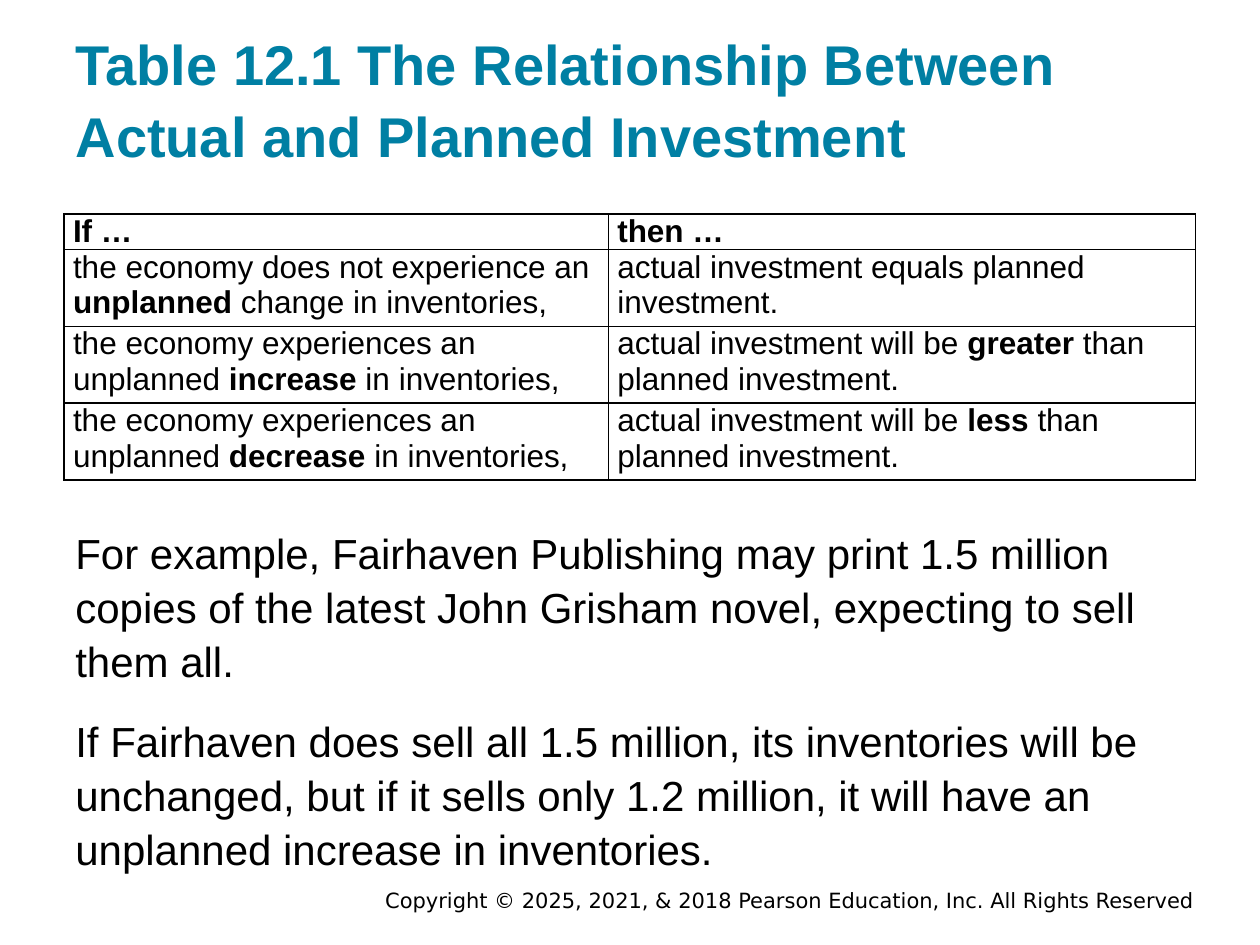
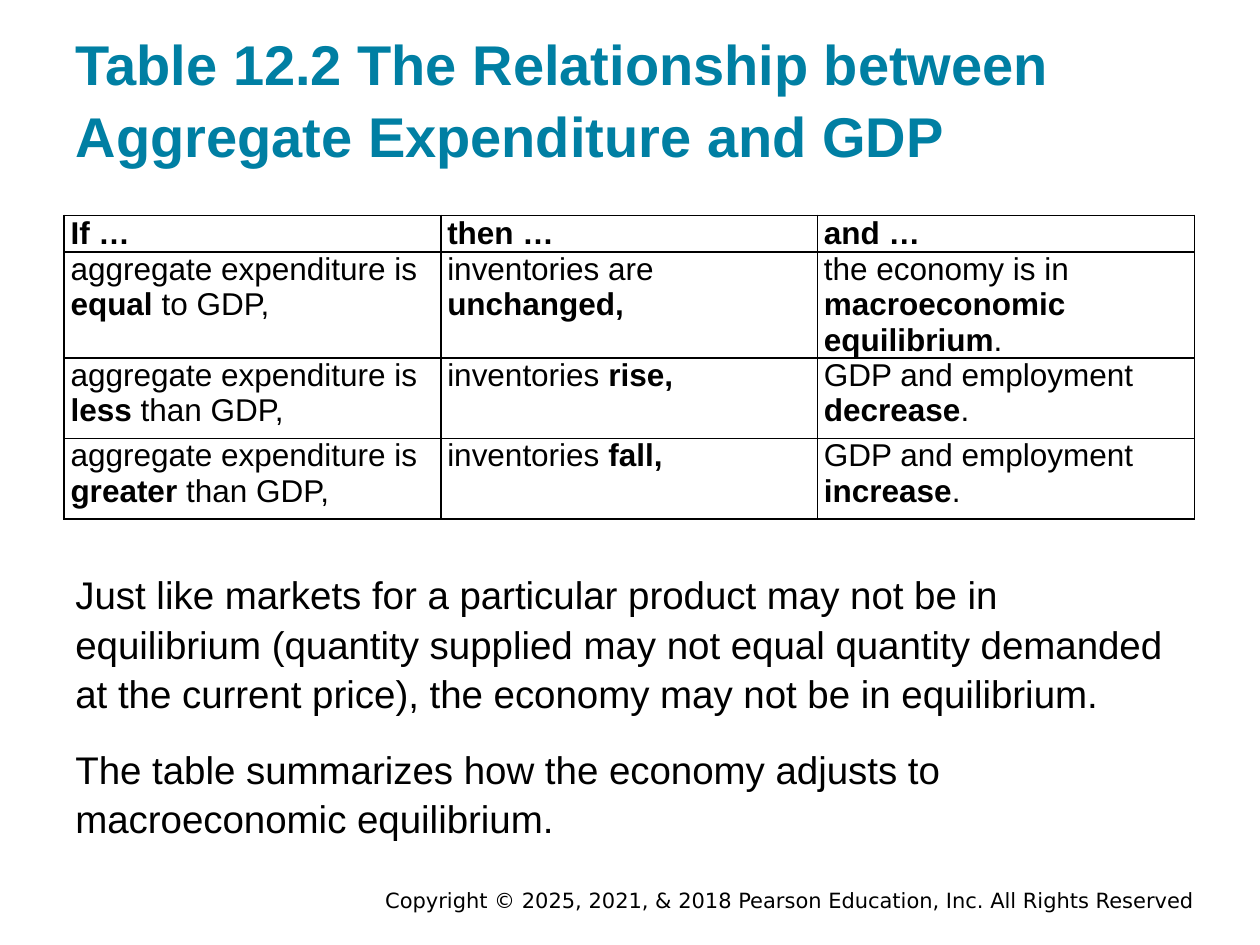
from lxml import etree
from pptx import Presentation
from pptx import util as u
from pptx.dml.color import RGBColor
from pptx.enum import text
from pptx.oxml import ns

COLS, ROWS = 100, 75
WIDTH, HEIGHT = u.Inches(10), u.Inches(7.5)
TEAL, BLACK = "007FA3", "000000"
TITLE_BOX = (5, 2.4, 90, 12)
FOOTER_BOX = (17.5, 70.3, 78.3, 2.2)
COPYRIGHT = "Copyright © 2025, 2021, & 2018 Pearson Education, Inc. All Rights Reserved"

SLIDES = [
    dict(
        title="Table 12.1 The Relationship Between Actual and Planned Investment",
        table_box=(5.1, 17, 89.8, 21.1),
        col_widths=[43.2, 46.6],
        row_heights=[2.8, 6.1, 6.1, 6.1],
        inset=0.7,
        rows=[
            ["**If …**", "**then …**"],
            ["the economy does not experience an **unplanned** change in inventories,",
             "actual investment equals planned investment."],
            ["the economy experiences an unplanned **increase** in inventories,",
             "actual investment will be **greater** than planned investment."],
            ["the economy experiences an unplanned **decrease** in inventories,",
             "actual investment will be **less** than planned investment."],
        ],
        body_box=(5, 40.6, 90, 27.6),
        body_size=24,
        body=[
            "For example, Fairhaven Publishing may print 1.5 million copies of the latest "
            "John Grisham novel, expecting to sell them all.",
            "If Fairhaven does sell all 1.5 million, its inventories will be unchanged, "
            "but if it sells only 1.2 million, it will have an unplanned increase in "
            "inventories.",
        ],
    ),
    dict(
        title="Table 12.2 The Relationship between Aggregate Expenditure and GDP",
        table_box=(5.1, 17.1, 89.8, 24.1),
        col_widths=[29.9, 29.9, 29.9],
        row_heights=[2.9, 8.4, 6.4, 6.4],
        inset=0.5,
        rows=[
            ["**If …**", "**then …**", "**and …**"],
            ["aggregate expenditure is **equal **to GDP,", "inventories are **unchanged,**",
             "the economy is in **macroeconomic equilibrium**."],
            ["aggregate expenditure is **less **than GDP,", "inventories **rise,**",
             "GDP and employment **decrease**."],
            ["aggregate expenditure is **greater **than GDP,", "inventories **fall,**",
             "GDP and employment **increase**."],
        ],
        body_box=(5, 44.1, 90, 23),
        body_size=22,
        body=[
            "Just like markets for a particular product may not be in equilibrium (quantity "
            "supplied may not equal quantity demanded at the current price), the economy may "
            "not be in equilibrium.",
            "The table summarizes how the economy adjusts to macroeconomic equilibrium.",
        ],
    ),
]


def color(value):
    """Turn a hex string into a colour."""
    return RGBColor.from_string(value)


def col(n):
    """Width of n grid columns."""
    return int(WIDTH * n / COLS)


def row(n):
    """Height of n grid rows."""
    return int(HEIGHT * n / ROWS)


def place(box):
    """Turn a grid box into left, top, width and height."""
    x, y, w, h = box
    return col(x), row(y), col(w), row(h)


def write(tf, paragraphs, size, font="Arial", fill=BLACK, bold=False, align="LEFT",
          anchor="TOP", inset=(1, 1), spacing=None, gap=0):
    """Fill a text frame, setting words between double asterisks in bold."""
    tf.word_wrap = True
    tf.auto_size = text.MSO_AUTO_SIZE.NONE
    tf.vertical_anchor = text.MSO_ANCHOR[anchor]
    tf.margin_left = tf.margin_right = col(inset[0])
    tf.margin_top = tf.margin_bottom = row(inset[1])
    for i, line in enumerate(paragraphs):
        p = tf.add_paragraph() if i else tf.paragraphs[0]
        p.alignment = text.PP_ALIGN[align]
        p.space_before = u.Pt(gap if i else 0)
        p.line_spacing = spacing
        for k, part in enumerate(line.split("**")):
            if part:
                r = p.add_run()
                r.text = part
                r.font.name, r.font.size = font, u.Pt(size)
                r.font.bold = bold or k % 2 == 1
                r.font.color.rgb = color(fill)


def add_title(s, title):
    """Place and format the title."""
    sp = s.shapes.title
    sp.left, sp.top, sp.width, sp.height = place(TITLE_BOX)
    write(sp.text_frame, [title], 32, fill=TEAL, bold=True, anchor="BOTTOM", spacing=1.07)


def add_text(s, box, paragraphs, size, **fmt):
    """Add a text box."""
    sp = s.shapes.add_textbox(*place(box))
    write(sp.text_frame, paragraphs, size, **fmt)


def add_borders(cell):
    """Rule all four sides of a cell."""
    tc_pr = cell._tc.get_or_add_tcPr()
    for side in "LRTB":
        ln = etree.SubElement(tc_pr, ns.qn(f"a:ln{side}"), w=str(u.Pt(1)))
        fill = etree.SubElement(ln, ns.qn("a:solidFill"))
        etree.SubElement(fill, ns.qn("a:srgbClr"), val=BLACK)


def add_ruled_table(s, box, rows, col_widths, row_heights, inset):
    """Add a table with black rules and no fill."""
    table = s.shapes.add_table(len(rows), len(rows[0]), *place(box)).table
    table.first_row = table.horz_banding = False
    for c, w in zip(table.columns, col_widths):
        c.width = col(w)
    for i, h in enumerate(row_heights):
        table.rows[i].height = row(h)
        for cell, words in zip(table.rows[i].cells, rows[i]):
            add_borders(cell)
            cell.fill.background()
            write(cell.text_frame, [words], 18)
            cell.margin_left = col(inset)
            cell.margin_right = cell.margin_top = cell.margin_bottom = 0


def add_table_slide(prs, title, table_box, rows, col_widths, row_heights, inset,
                    body_box, body_size, body):
    """Build a slide with a title, a table, body text and the footer."""
    s = prs.slides.add_slide(prs.slide_layouts[5])
    add_text(s, FOOTER_BOX, [COPYRIGHT], 12, font="DejaVu Sans", align="RIGHT",
             anchor="MIDDLE", inset=(1, 0.5))
    add_title(s, title)
    add_ruled_table(s, table_box, rows, col_widths, row_heights, inset)
    add_text(s, body_box, body, body_size, spacing=1.07, gap=15)


def main():
    """Build and save the slides."""
    prs = Presentation()
    prs.slide_width, prs.slide_height = WIDTH, HEIGHT
    for content in SLIDES:
        add_table_slide(prs, **content)
    prs.save("out.pptx")


if __name__ == "__main__":
    main()
